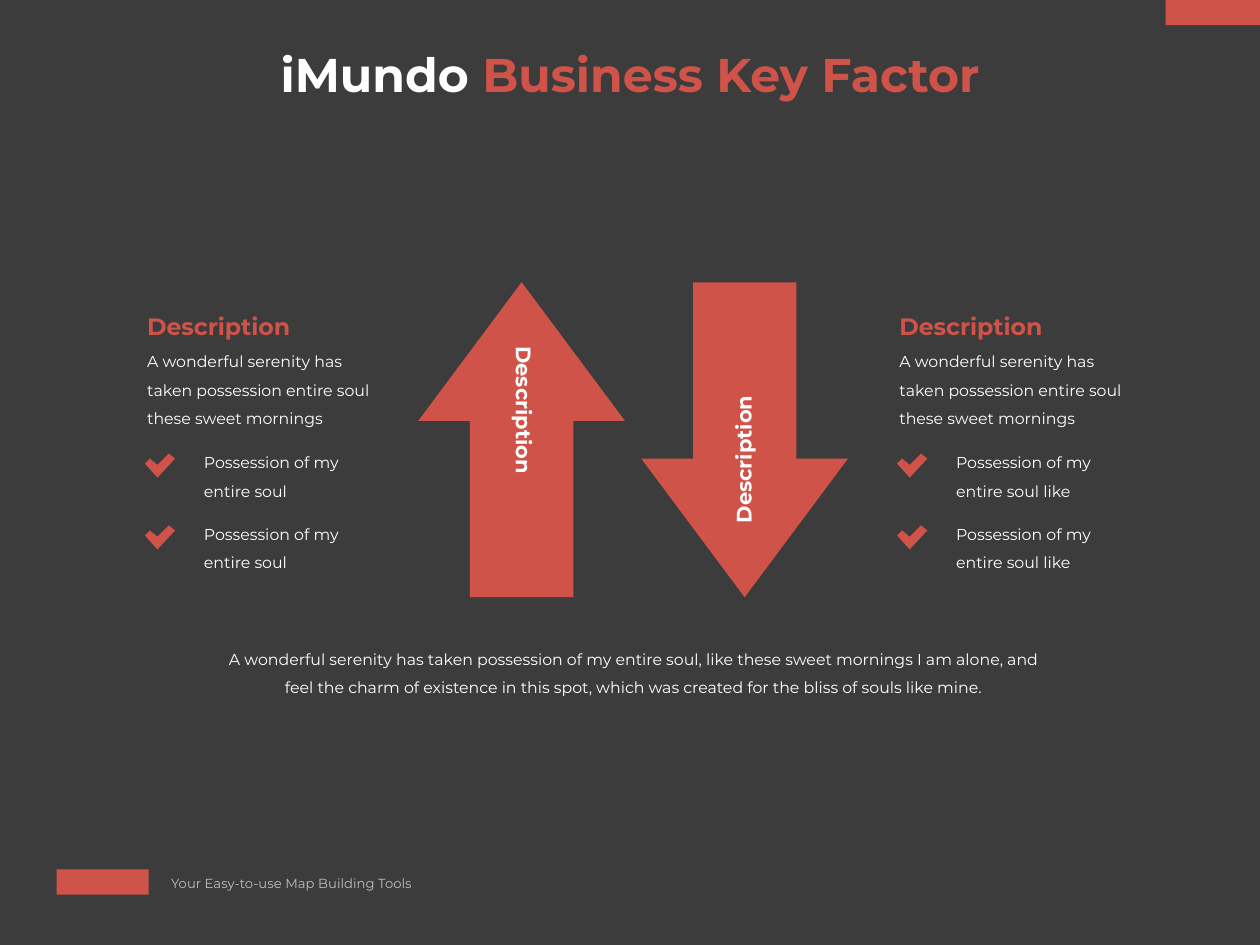
import pptx
import pptx.dml.color
import pptx.enum.shapes
import pptx.enum.text
import pptx.util
from pptx.util import Inches

FONT = "Montserrat"
RED, WHITE, GREY, DARK = "D0534A", "FFFFFF", "BFBFBF", "3C3C3C"
SHAPES = pptx.enum.shapes.MSO_SHAPE
ANCHOR = pptx.enum.text.MSO_ANCHOR
ALIGN = pptx.enum.text.PP_ALIGN

BODY = {"size": 9, "line_spacing": 1.5}
HEADING = {"size": 13.5, "bold": True, "anchor": ANCHOR.MIDDLE}
ARROW_LABEL = {"size": 12, "bold": True, "anchor": ANCHOR.MIDDLE}

# Hundredths of an inch from the top left corner of the tick
TICK_POINTS = [(19, 0), (10, 9), (4.5, 3.5), (0, 8), (10, 19), (24.5, 4.5)]


def color(hex_string):
    return pptx.dml.color.RGBColor.from_string(hex_string)


def paint(shape, fill):
    shape.shadow.inherit = False
    shape.fill.solid()
    shape.fill.fore_color.rgb = color(fill)
    shape.line.fill.background()


def add_shape(slide, kind, left, top, width, height, fill=RED):
    shape = slide.shapes.add_shape(
        kind, Inches(left), Inches(top), Inches(width), Inches(height))
    paint(shape, fill)
    return shape


def add_text(slide, left, top, width, height, runs, size, bold=False,
             anchor=ANCHOR.TOP, align=ALIGN.LEFT, line_spacing=1.0, rotation=0):
    """Add one paragraph; runs is a list of (text, hex color)."""
    shape = slide.shapes.add_textbox(
        Inches(left), Inches(top), Inches(width), Inches(height))
    shape.rotation = rotation
    frame = shape.text_frame
    paragraph = frame.paragraphs[0]
    formats = [
        (frame, {"word_wrap": True, "vertical_anchor": anchor}),
        (paragraph, {"alignment": align, "line_spacing": line_spacing}),
    ]
    for text, run_color in runs:
        run = paragraph.add_run()
        run.text = text
        run.font.color.rgb = color(run_color)
        formats.append((run.font, {
            "name": FONT, "size": pptx.util.Pt(size), "bold": bold}))
    for target, values in formats:
        for name, value in values.items():
            setattr(target, name, value)


def add_tick(slide, left, top):
    builder = slide.shapes.build_freeform(
        *TICK_POINTS[0], scale=Inches(0.01))
    builder.add_line_segments(TICK_POINTS[1:], close=True)
    paint(builder.convert_to_shape(Inches(left), Inches(top)), RED)


def add_header(slide, left, top, width, height):
    add_text(slide, left, top, width, height,
             [("iMundo ", WHITE), ("Business Key Factor", RED)],
             size=27, bold=True, anchor=ANCHOR.MIDDLE, align=ALIGN.CENTER,
             line_spacing=0.9)


def add_arrow(slide, left, top, width, height, rotation, label_box,
              label_rotation):
    arrow = add_shape(slide, SHAPES.UP_ARROW, left, top, width, height)
    arrow.rotation = rotation
    for index, value in enumerate((0.5, 0.671)):
        arrow.adjustments[index] = value
    add_text(slide, *label_box, [("Description", WHITE)],
             rotation=label_rotation, **ARROW_LABEL)


def add_description(slide, left, top, width, point):
    """Add a heading, a short text and two ticked points."""
    add_text(slide, left, top + 0.25, width, 0.76,
             [("A wonderful serenity has taken possession entire soul "
               "these sweet mornings", WHITE)], **BODY)
    add_text(slide, left, top, 1.77, 0.33, [("Description", RED)], **HEADING)
    for row in range(2):
        row_top = top + 1.05 + row * 0.57
        add_tick(slide, left + 0.08, row_top + 0.13)
        add_text(slide, left + 0.45, row_top, 1.32, 0.53,
                 [(point, WHITE)], **BODY)


def add_summary(slide, left, top, width, height):
    add_text(slide, left, top, width, height,
             [("A wonderful serenity has taken possession of my entire soul, "
               "like these sweet mornings I am alone, and feel the charm of "
               "existence in this spot, which was created for the bliss of "
               "souls like mine.", WHITE)],
             anchor=ANCHOR.MIDDLE, align=ALIGN.CENTER, **BODY)


def add_footer(slide, left, top, width, height):
    add_shape(slide, SHAPES.RECTANGLE, left, top, 0.73, 0.2)
    add_text(slide, left + 0.81, top, width - 0.81, height,
             [("Your Easy-to-use Map Building Tools", GREY)], size=7.5)


def main():
    presentation = pptx.Presentation()
    presentation.slide_width = Inches(10)
    presentation.slide_height = Inches(7.5)
    slide = presentation.slides.add_slide(presentation.slide_layouts[6])
    slide.background.fill.solid()
    slide.background.fill.fore_color.rgb = color(DARK)

    add_arrow(slide, 3.32, 2.24, 1.64, 2.5, 0, (3.4, 3.26, 1.52, 0.3), 90)
    add_arrow(slide, 5.09, 2.24, 1.64, 2.5, 180, (5.18, 3.38, 1.44, 0.3), 270)
    add_description(slide, 1.07, 2.42, 2, "Possession of my entire soul")
    add_description(slide, 7.04, 2.42, 2, "Possession of my entire soul like")
    add_summary(slide, 1.71, 5.04, 6.63, 0.53)
    add_header(slide, 0.69, 0.26, 8.62, 0.71)
    add_footer(slide, 0.45, 6.9, 3.39, 0.23)
    add_shape(slide, SHAPES.RECTANGLE, 9.25, 0, 0.75, 0.2)
    presentation.save("out.pptx")


if __name__ == "__main__":
    main()
